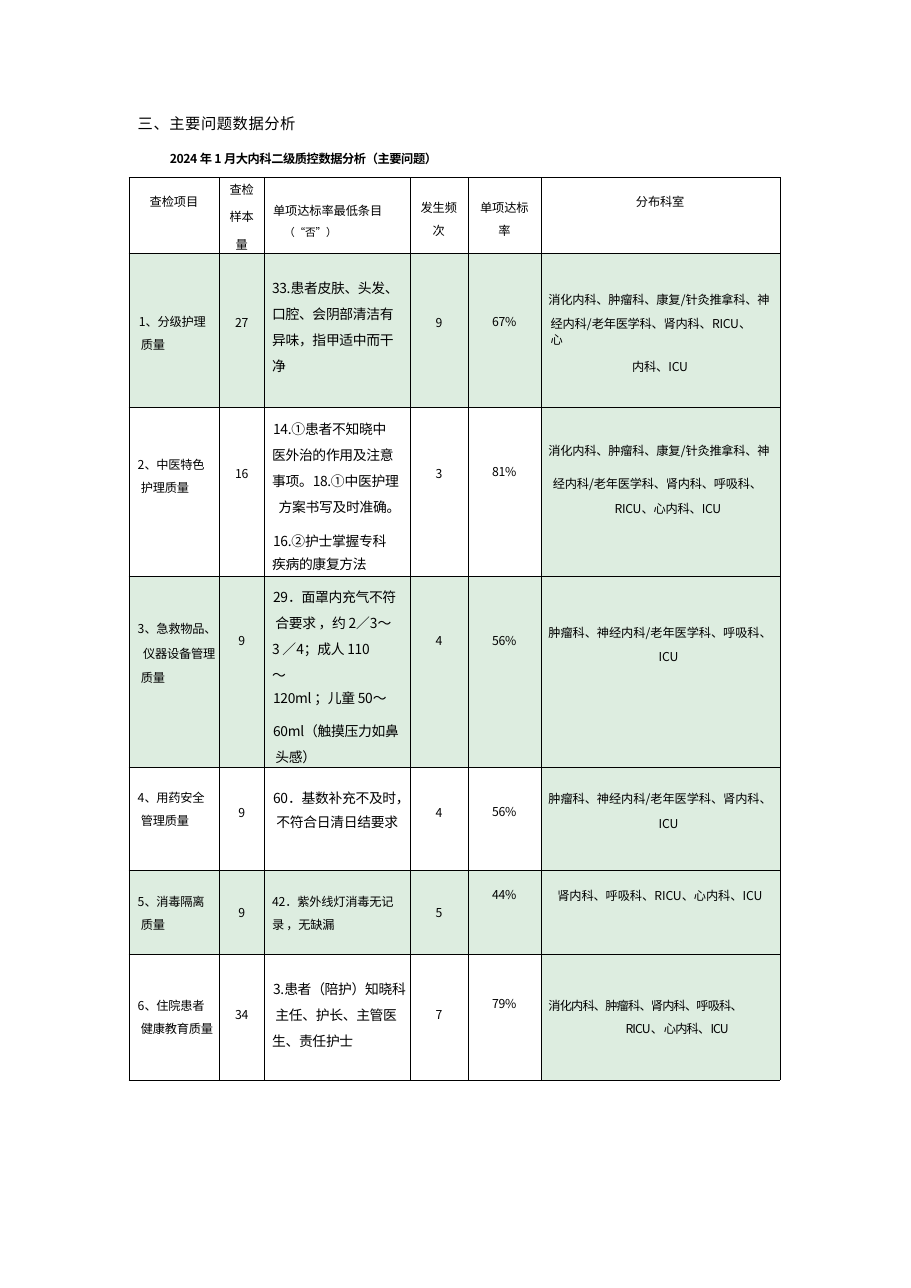
"""Build a page with the nursing quality analysis table."""
from lxml import etree
from pptx import Presentation
from pptx import util as u
from pptx.dml.color import RGBColor
from pptx.enum import text
from pptx.oxml.ns import qn

FONT = "Noto Sans CJK SC"
LINE = 10
GREEN = "DDEDE0"


def write(holder, lines, first, pitch=15, size=8, spacing=-0.2):
    """Write (indent, text[, pitch]) lines; first is the middle of line one, no indent centres."""
    holder.margin_left = holder.margin_right = holder.margin_bottom = 0
    holder.margin_top = u.Inches(max(0, first - (LINE - 0.668 * size) / 72))
    holder.vertical_anchor = text.MSO_ANCHOR.TOP
    frame = getattr(holder, "text_frame", holder)
    frame.word_wrap = True
    for number, (indent, words, *own_pitch) in enumerate(lines):
        para = frame.add_paragraph() if number else frame.paragraphs[0]
        para.line_spacing = u.Pt(LINE)
        gap = (own_pitch[0] if own_pitch else pitch) - LINE
        para.space_before = u.Pt(gap if number else 0)
        para.alignment = text.PP_ALIGN.CENTER if indent is None else text.PP_ALIGN.LEFT
        properties = para._p.get_or_add_pPr()
        properties.set("marL", str(u.Inches(indent or 0)))
        properties.set("indent", "0")
        span = para.add_run()
        span.text = words
        span.font.size = u.Pt(size)
        span.font.bold = False
        span.font.color.rgb = RGBColor.from_string("000000")
        span.font.name = FONT
        run_format = span._r.get_or_add_rPr()
        run_format.set("spc", str(round(spacing * 100)))
        etree.SubElement(run_format, qn("a:ea"), typeface=FONT)


def outline(cell):
    """Draw thin black borders around a cell."""
    for side in ("lnL", "lnR", "lnT", "lnB"):
        border = etree.SubElement(cell._tc.get_or_add_tcPr(), qn("a:" + side), w="3175")
        solid = etree.SubElement(border, qn("a:solidFill"))
        etree.SubElement(solid, qn("a:srgbClr"), val="000000")


deck = Presentation()
deck.slide_width, deck.slide_height = u.Inches(8.27), u.Inches(11.69)
page = deck.slides.add_slide(deck.slide_layouts[5])

title = page.shapes.title
title.left, title.top = u.Inches(1.24), u.Inches(1.02)
title.width, title.height = u.Inches(2.73), u.Inches(0.48)
frame = title.text_frame
frame.auto_size = text.MSO_AUTO_SIZE.NONE
write(frame, [(0.01, "三、主要问题数据分析"), (0, "2024 年 1 月大内科二级质控数据分析（主要问题）", 22)],
      0.09, size=10, spacing=0.4)
caption = frame.paragraphs[1]
caption.alignment = text.PP_ALIGN.RIGHT
caption_font = caption.runs[0].font
caption_font.size, caption_font.bold = u.Pt(8), True
caption.runs[0]._r.get_or_add_rPr().set("spc", "-30")

widths = [0.82, 0.41, 1.32, 0.53, 0.66, 2.17]
heights = [0.69, 1.4, 1.53, 1.72, 0.94, 0.76, 1.14]
table_box = page.shapes.add_table(len(heights), len(widths), u.Inches(1.17), u.Inches(1.61),
                                  u.Inches(sum(widths)), u.Inches(sum(heights)))
table = table_box.table
table.first_row = table.horz_banding = False
for column, width in zip(table.columns, widths):
    column.width = u.Inches(width)
for row, height in zip(table.rows, heights):
    row.height = u.Inches(height)
for row_number in range(len(heights)):
    for column_number in range(len(widths)):
        cell = table.cell(row_number, column_number)
        outline(cell)
        if row_number % 2 or (row_number and column_number == 5):
            cell.fill.solid()
            cell.fill.fore_color.rgb = RGBColor.from_string(GREEN)
        else:
            cell.fill.background()

headers = [
    (0.22, 15, [(None, "查检项目")]),
    (0.11, 18, [(None, "查检"), (None, "样本"), (None, "量")]),
    (0.3, 14, [(0.08, "单项达标率最低条目"), (0.18, "（“否”）")]),
    (0.28, 15, [(None, "发生频"), (None, "次")]),
    (0.28, 15, [(None, "单项达标"), (None, "率")]),
    (0.22, 15, [(None, "分布科室")]),
]
for column_number, (first, pitch, lines) in enumerate(headers):
    write(table.cell(0, column_number), lines, first, pitch, spacing=-0.1)
table.cell(0, 2).text_frame.paragraphs[1].runs[0].font.size = u.Pt(7)

projects = [
    (0.62, [(0.09, "1、分级护理"), (0.11, "质量")]),
    (0.52, [(0.08, "2、中医特色"), (0.11, "护理质量")]),
    (0.48, [(0.08, "3、急救物品、"), (0.13, "仪器设备管理", 16), (0.11, "质量", 16)]),
    (0.28, [(0.08, "4、用药安全"), (0.11, "管理质量")]),
    (0.28, [(0.08, "5、消毒隔离"), (0.11, "质量")]),
    (0.47, [(0.08, "6、住院患者"), (0.11, "健康教育质量")]),
]
figures = [
    (0.63, "27", "9", 0.62, "67%"),
    (0.6, "16", "3", 0.58, "81%"),
    (0.59, "9", "4", 0.59, "56%"),
    (0.42, "9", "4", 0.41, "56%"),
    (0.38, "9", "5", 0.22, "44%"),
    (0.55, "34", "7", 0.45, "79%"),
]
items = [
    (0.32, 17, 9, [(0.07, "33.患者皮肤、头发、"), (0.07, "口腔、会阴部清洁有"),
                   (0.07, "异味，指甲适中而干"), (0.07, "净")]),
    (0.2, 17, 9, [(0.08, "14.①患者不知晓中"), (0.07, "医外治的作用及注意"),
                  (0.07, "事项。18.①中医护理"), (0.13, "方案书写及时准确。"),
                  (0.08, "16.②护士掌握专科", 22), (0.07, "疾病的康复方法", 15)]),
    (0.19, 17, 9, [(0.08, "29．面罩内充气不符"), (0.1, "合要求 ，约 2／3～"),
                   (0.07, "3 ／4；成人 110"), (0.07, "～"), (0.08, "120ml ；儿童 50～", 15),
                   (0.08, "60ml（触摸压力如鼻", 22), (0.1, "头感）")]),
    (0.28, 16, 9, [(0.08, "60．基数补充不及时，"), (0.11, "不符合日清日结要求")]),
    (0.28, 15, 8, [(0.07, "42．紫外线灯消毒无记"), (0.07, "录 ，无缺漏")]),
    (0.32, 17, 9, [(0.08, "3.患者（陪护）知晓科"), (0.1, "主任、护长、主管医"),
                   (0.07, "生、责任护士")]),
]
departments = [
    (0.42, -0.2, [(0.07, "消化内科、肿瘤科、康复/针灸推拿科、神"),
                  (0.09, "经内科/老年医学科、肾内科、RICU、"), (0.09, "心", 10), (0.83, "内科、ICU", 18)]),
    (0.39, -0.2, [(0.07, "消化内科、肿瘤科、康复/针灸推拿科、神"),
                  (0.11, "经内科/老年医学科、肾内科、呼吸科、", 22), (0.67, "RICU、心内科、ICU")]),
    (0.51, -0.1, [(0.07, "肿瘤科、神经内科/老年医学科、呼吸科、"), (1.07, "ICU")]),
    (0.29, -0.1, [(0.07, "肿瘤科、神经内科/老年医学科、肾内科、"), (1.07, "ICU")]),
    (0.23, -0.1, [(0.15, "肾内科、呼吸科、RICU、心内科、ICU")]),
    (0.47, -0.6, [(0.07, "消化内科、肿瘤科、肾内科、呼吸科、"), (0.77, "RICU、 心内科、ICU", 15)]),
]
records = zip(projects, figures, items, departments)
for row_number, (project, figure, item, department) in enumerate(records, 1):
    cells = table.rows[row_number].cells
    first, lines = project
    write(cells[0], lines, first)
    middle, sample, frequency, rate_middle, rate = figure
    write(cells[1], [(None, sample)], middle)
    write(cells[3], [(None, frequency)], middle)
    write(cells[4], [(None, rate)], rate_middle)
    first, pitch, size, lines = item
    write(cells[2], lines, first, pitch, size)
    first, spacing, lines = department
    write(cells[5], lines, first, 16, spacing=spacing)

deck.save("out.pptx")
